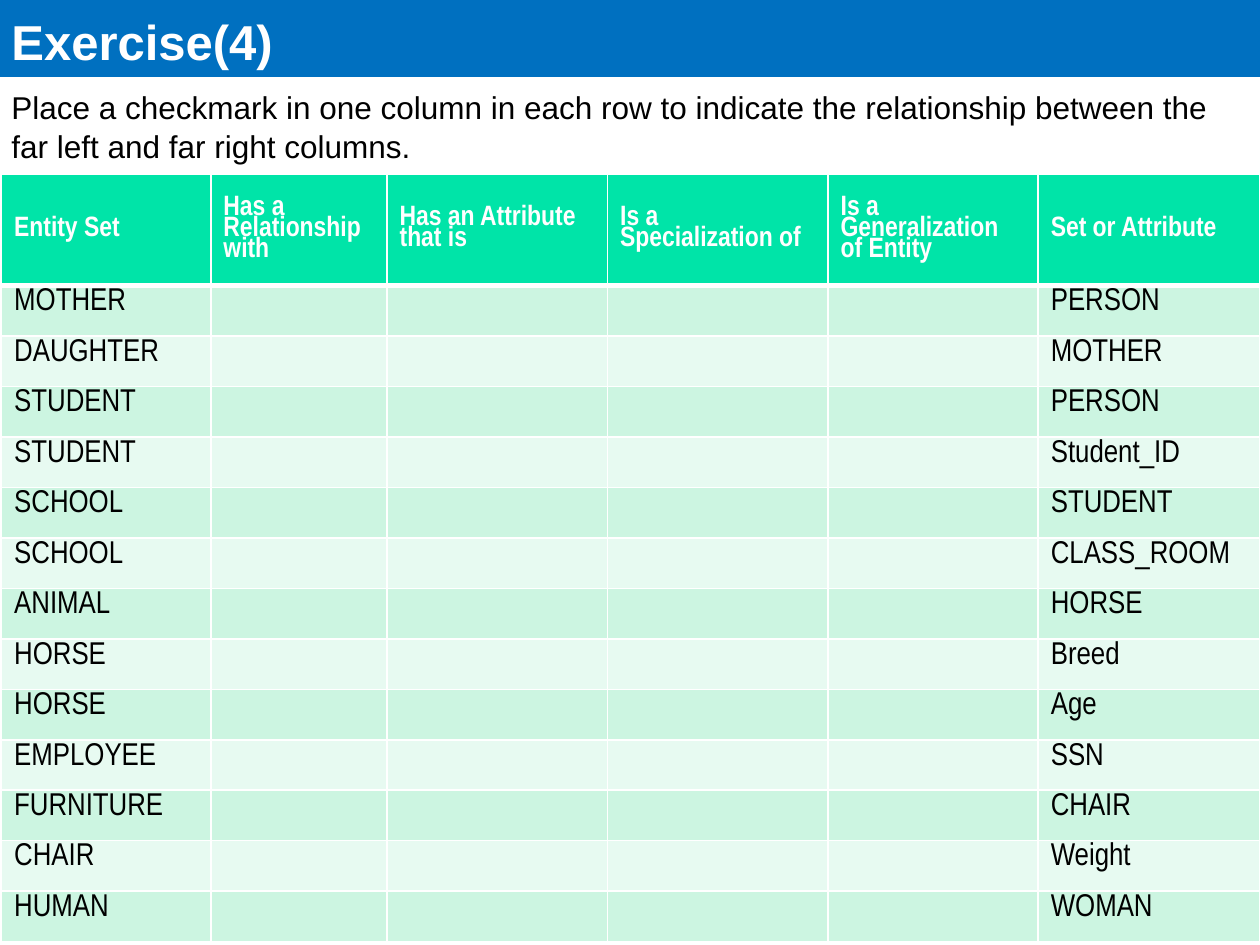
from pptx import Presentation
from pptx.dml.color import RGBColor
from pptx.enum.shapes import MSO_SHAPE
from pptx.enum.text import MSO_ANCHOR, PP_ALIGN
from pptx.oxml import parse_xml
from pptx.oxml.ns import nsdecls
from pptx.util import Pt

# Content
TITLE = "Exercise(4)"
TASK = ("Place a checkmark in one column in each row to indicate the relationship "
        "between the far left and far right columns.")
HEADINGS = ["Entity Set", "Has a Relationship with", "Has an Attribute that is",
            "Is a Specialization of", "Is a Generalization of Entity", "Set or Attribute"]
PAIRS = [
    ("MOTHER", "PERSON"), ("DAUGHTER", "MOTHER"), ("STUDENT", "PERSON"),
    ("STUDENT", "Student_ID"), ("SCHOOL", "STUDENT"), ("SCHOOL", "CLASS_ROOM"),
    ("ANIMAL", "HORSE"), ("HORSE", "Breed"), ("HORSE", "Age"), ("EMPLOYEE", "SSN"),
    ("FURNITURE", "CHAIR"), ("CHAIR", "Weight"), ("HUMAN", "WOMAN"),
]

# Layout, in points
PAGE_W, PAGE_H = 720, 540
BAR_H = 44
TASK_TOP, TASK_H = 45.4, 51
TABLE_LEFT, TABLE_TOP = 0.9, 99.3
COLUMN_WIDTHS = [119.6, 100.7, 126, 126, 120.1, 126.7]
HEADER_H, ROW_H = 64, 28.8

BLUE = RGBColor(0x00, 0x70, 0xC0)
GREEN = RGBColor(0x00, 0xE4, 0xA8)
BANDS = [RGBColor(0xCC, 0xF5, 0xE1), RGBColor(0xE7, 0xFA, 0xF1)]
WHITE = RGBColor(0xFF, 0xFF, 0xFF)
BLACK = RGBColor(0x00, 0x00, 0x00)


def write(frame, text, size, color, font="Arial", bold=False, spacing=1.0):
    para = frame.paragraphs[0]
    para.text = text
    para.alignment = PP_ALIGN.LEFT
    para.line_spacing = spacing
    para.font.name = font
    para.font.size = Pt(size)
    para.font.bold = bold
    para.font.color.rgb = color


def add_borders(cell, top, bottom):
    properties = cell._tc.get_or_add_tcPr()
    for side, width in (("L", 1), ("R", 1), ("T", top), ("B", bottom)):
        properties.append(parse_xml(
            f'<a:ln{side} {nsdecls("a")} w="{Pt(width)}"><a:solidFill>'
            f'<a:srgbClr val="{WHITE}"/></a:solidFill></a:ln{side}>'))


deck = Presentation()
deck.slide_width, deck.slide_height = Pt(PAGE_W), Pt(PAGE_H)
page = deck.slides.add_slide(deck.slide_layouts[6])

# Title bar
bar = page.shapes.add_shape(MSO_SHAPE.RECTANGLE, Pt(-0.5), 0, Pt(PAGE_W + 0.5), Pt(BAR_H))
bar.shadow.inherit = False
bar.fill.solid()
bar.fill.fore_color.rgb = BLUE
bar.line.fill.background()
bar.text_frame.vertical_anchor = MSO_ANCHOR.BOTTOM
write(bar.text_frame, TITLE, 28, WHITE, bold=True)

# Task text
box = page.shapes.add_textbox(Pt(-0.5), Pt(TASK_TOP), Pt(PAGE_W + 0.5), Pt(TASK_H))
box.text_frame.word_wrap = True
write(box.text_frame, TASK, 18, BLACK, spacing=1.05)

# Table: headings, then pairs with blank columns to tick
blanks = [""] * (len(HEADINGS) - 2)
rows = [HEADINGS] + [[left, *blanks, right] for left, right in PAIRS]
table = page.shapes.add_table(
    len(rows), len(HEADINGS), Pt(TABLE_LEFT), Pt(TABLE_TOP),
    Pt(sum(COLUMN_WIDTHS)), Pt(HEADER_H + ROW_H * len(PAIRS))).table
for column, width in zip(table.columns, COLUMN_WIDTHS):
    column.width = Pt(width)

for r, texts in enumerate(rows):
    is_header = r == 0
    table.rows[r].height = Pt(HEADER_H if is_header else ROW_H)
    for c, text in enumerate(texts):
        cell = table.cell(r, c)
        add_borders(cell, top=3 if r == 1 else 1, bottom=3 if is_header else 1)
        cell.fill.solid()
        cell.fill.fore_color.rgb = GREEN if is_header else BANDS[(r - 1) % 2]
        cell.vertical_anchor = MSO_ANCHOR.MIDDLE if is_header else MSO_ANCHOR.TOP
        write(cell.text_frame, text, 16 if is_header else 18,
              WHITE if is_header else BLACK, "Arial Narrow", is_header, 0.8)

deck.save("out.pptx")
